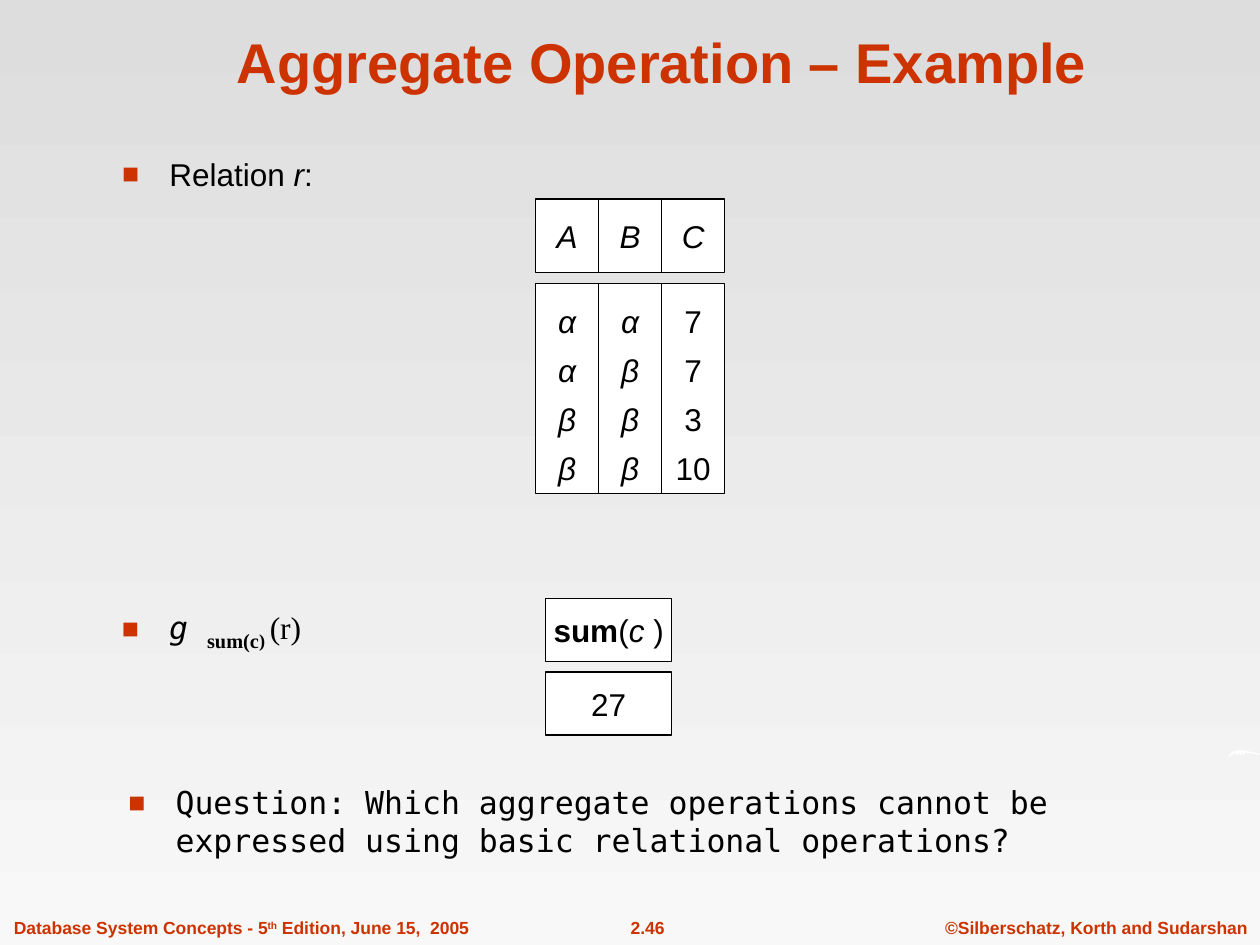
"""Builds the slide that shows an aggregate operation on a small relation."""
from lxml.etree import SubElement
from pptx import Presentation
from pptx.dml.color import RGBColor as Rgb
from pptx.enum.shapes import MSO_SHAPE as Preset
from pptx.enum.text import MSO_ANCHOR as Anchor, MSO_AUTO_SIZE as AutoSize, PP_ALIGN as Align
from pptx.oxml.ns import qn
from pptx.util import Cm, Pt

THEME = {
    "accent": Rgb.from_string("CC3300"),
    "ink": Rgb.from_string("000000"),
    "paper": Rgb.from_string("FFFFFF"),
    "backdrop": ("DDDDDD", "F8F8F8"),
    "sans": "Arial",
    "mono": "DejaVu Sans Mono",
    "serif": "Times New Roman",
    "title": Pt(32),
    "text": Pt(18),
    "subscript": Pt(20),
    "footer": Pt(10),
    "border": Pt(0.75),
}
ITALIC = {"italic": True}
BOLD = {"bold": True}
SERIF = {"name": THEME["serif"]}
MONO = {"name": THEME["mono"]}
HEADING = {"size": THEME["title"], "bold": True, "color": THEME["accent"]}
FOOTING = {"size": THEME["footer"], "bold": True, "color": THEME["accent"]}
SUBSCRIPT = {**SERIF, **BOLD, "baseline": -25}

TITLE = [("Aggregate Operation – Example", HEADING)]
RELATION_LABEL = [("Relation ", {}), ("r", ITALIC), (":", {})]
RELATION = [
    ("A", ["α", "α", "β", "β"], ITALIC),
    ("B", ["α", "β", "β", "β"], ITALIC),
    ("C", ["7", "7", "3", "10"], {}),
]
EXPRESSION = [
    ("g ", {**MONO, **ITALIC}),
    ("sum(c", {**SUBSCRIPT, "size": THEME["subscript"]}),
    (") ", SUBSCRIPT),
    ("(r)", SERIF),
]
RESULT = [
    [("sum", BOLD), ("(", {}), ("c ", ITALIC), (")", {})],
    [("27", {})],
]
QUESTION = [(
    "Question: Which aggregate operations cannot be expressed "
    "using basic relational operations?", MONO)]
FOOTERS = [
    ((0.03, 9.68), Align.LEFT, [
        ("Database System Concepts - 5", FOOTING),
        ("th", {**FOOTING, "baseline": 30}),
        (" Edition, June 15,  2005", FOOTING)]),
    ((11.81, 2.49), Align.CENTER, [("2.46", FOOTING)]),
    ((18.8, 6.6), Align.CENTER, [("©Silberschatz, Korth and Sudarshan", FOOTING)]),
]
BULLET_BOXES = [
    ((2.21, 12.07, 5.59, 1.55), EXPRESSION),
    ((2.34, 15.67, 19.89, 2.11), QUESTION),
]
SWOOSH = [
    (24.77, 15.27), (24.79, 15.21), (24.84, 15.16), (24.94, 15.13), (25.02, 15.12),
    (25.1, 15.13), (25.22, 15.16), (25.35, 15.18), (25.4, 15.2), (25.37, 15.22),
    (25.3, 15.2), (25.15, 15.18), (25.09, 15.17), (25.09, 15.24), (25.02, 15.17),
    (25.02, 15.24), (24.95, 15.17), (24.96, 15.24), (24.9, 15.18), (24.83, 15.22),
]


def set_values(target, values):
    for name, value in values.items():
        setattr(target, name, value)


def place(shape, box):
    set_values(shape, dict(zip(("left", "top", "width", "height"), map(Cm, box))))


def write(frame, paragraphs, anchor=Anchor.TOP, wrap=True, **layout):
    set_values(frame, {"auto_size": AutoSize.NONE, "word_wrap": wrap, "vertical_anchor": anchor})
    for index, runs in enumerate(paragraphs):
        paragraph = frame.add_paragraph() if index else frame.paragraphs[0]
        set_values(paragraph, layout)
        for text, style in runs:
            run = paragraph.add_run()
            run.text = text
            look = {"name": THEME["sans"], "size": THEME["text"], "bold": False,
                    "italic": False, "color": THEME["ink"], **style}
            run.font.color.rgb = look.pop("color")
            baseline = look.pop("baseline", 0)
            set_values(run.font, look)
            if baseline:
                run.font._element.set("baseline", str(baseline * 1000))


def write_bullet(frame, runs):
    write(frame, [runs], space_before=Pt(7.9), alignment=Align.LEFT)
    properties = frame.paragraphs[0]._p.get_or_add_pPr()
    hang = Cm(0.95)
    properties.set("marL", str(hang))
    properties.set("indent", str(-hang))
    color = SubElement(properties, qn("a:buClr"))
    SubElement(color, qn("a:srgbClr"), val=str(THEME["accent"]))
    SubElement(properties, qn("a:buSzPct"), val="90000")
    SubElement(properties, qn("a:buFont"), typeface=THEME["sans"])
    SubElement(properties, qn("a:buChar"), char="■")


def add_cell(slide, box, paragraphs, **layout):
    cell = slide.shapes.add_shape(Preset.RECTANGLE, *map(Cm, box))
    cell.shadow.inherit = False
    cell.fill.solid()
    cell.fill.fore_color.rgb = THEME["paper"]
    cell.line.color.rgb = THEME["ink"]
    cell.line.width = THEME["border"]
    write(cell.text_frame, paragraphs, Anchor.MIDDLE, False, alignment=Align.CENTER, **layout)


def paint_background(slide):
    fill = slide.background.fill
    fill.gradient()
    fill.gradient_angle = 270
    for stop, shade, position in zip(fill.gradient_stops, THEME["backdrop"], (0, 1)):
        stop.color.rgb = Rgb.from_string(shade)
        stop.position = position


def add_swoosh(slide):
    builder = slide.shapes.build_freeform(*map(Cm, SWOOSH[0]))
    builder.add_line_segments([(Cm(x), Cm(y)) for x, y in SWOOSH[1:]])
    swoosh = builder.convert_to_shape()
    swoosh.shadow.inherit = False
    swoosh.fill.solid()
    swoosh.fill.fore_color.rgb = THEME["paper"]
    swoosh.line.fill.background()


def add_relation(slide):
    left, width = 10.8, 1.27
    for column, (heading, values, style) in enumerate(RELATION):
        x = left + column * width
        add_cell(slide, (x, 4.01, width, 1.48), [[(heading, ITALIC)]])
        add_cell(slide, (x, 5.72, width, 4.23), [[(value, style)] for value in values],
                 line_spacing=1.3)


def main():
    deck = Presentation()
    set_values(deck, {"slide_width": Cm(25.4), "slide_height": Cm(19.05)})
    slide = deck.slides.add_slide(deck.slide_layouts[1])
    paint_background(slide)

    for (left, width), alignment, runs in FOOTERS:
        footer = slide.shapes.add_textbox(*map(Cm, (left, 18.36, width, 0.69)))
        write(footer.text_frame, [runs], wrap=False, alignment=alignment, space_before=Pt(6.2))
    add_swoosh(slide)

    title, body = slide.placeholders
    place(title, (2.13, 0.33, 22.43, 1.7))
    write(title.text_frame, [TITLE], Anchor.BOTTOM, alignment=Align.CENTER)
    place(body, (2.21, 3, 4.9, 1.6))
    write_bullet(body.text_frame, RELATION_LABEL)

    add_relation(slide)
    for row, runs in enumerate(RESULT):
        add_cell(slide, (11, 12.07 + row * 1.48, 2.54, 1.27), [runs])
    for box, runs in BULLET_BOXES:
        bullet_box = slide.shapes.add_textbox(*map(Cm, box))
        write_bullet(bullet_box.text_frame, runs)

    deck.save("out.pptx")


if __name__ == "__main__":
    main()
